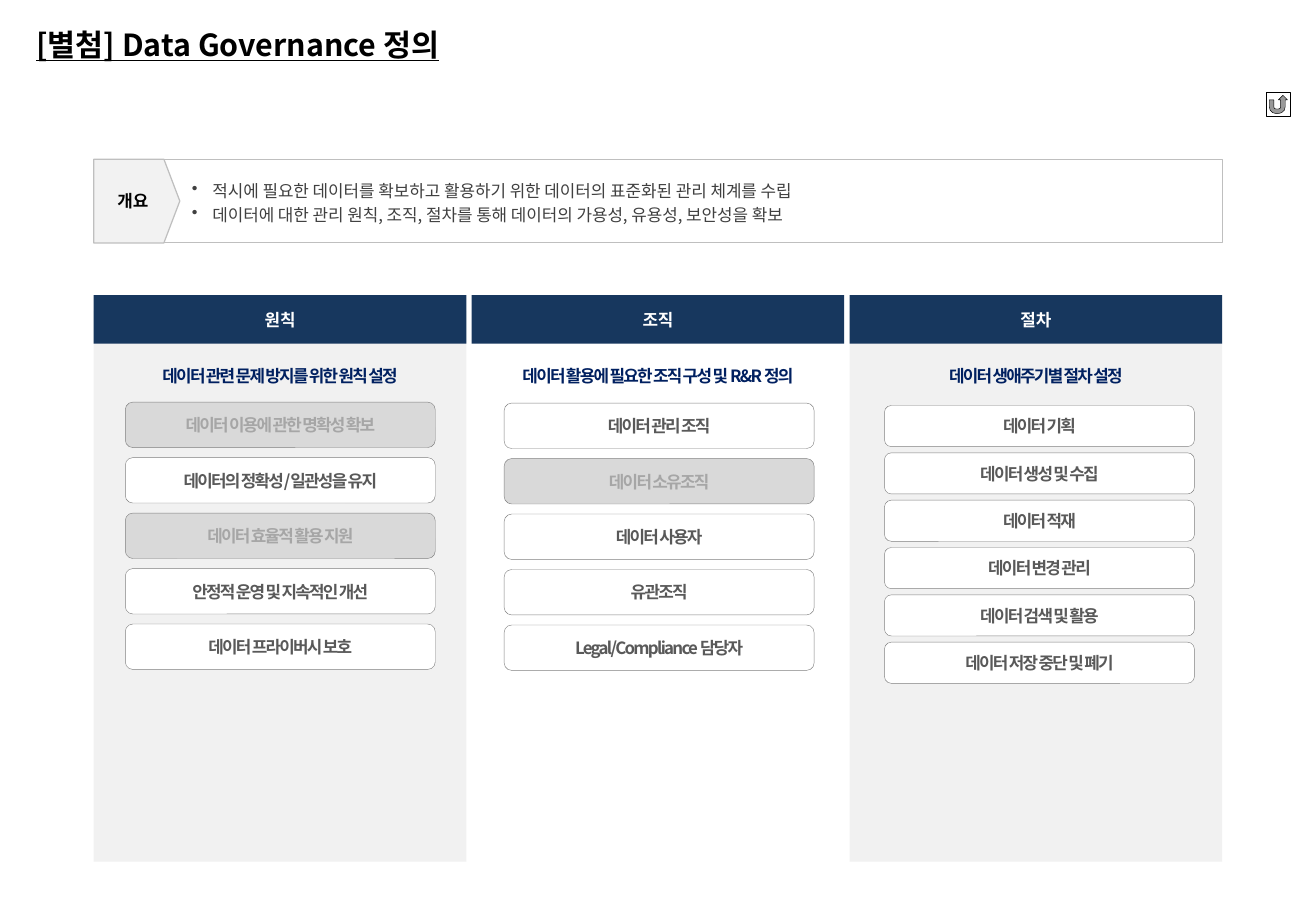
from lxml import etree
from pptx import Presentation
from pptx.dml.color import RGBColor
from pptx.enum.shapes import MSO_SHAPE
from pptx.enum.text import MSO_ANCHOR, PP_ALIGN
from pptx.oxml.ns import qn
from pptx.util import Cm, Pt

RECTANGLE = MSO_SHAPE.RECTANGLE
ROUNDED = MSO_SHAPE.ROUNDED_RECTANGLE
PENTAGON = MSO_SHAPE.PENTAGON
RETURN_BUTTON = MSO_SHAPE.ACTION_BUTTON_RETURN
TOP, MIDDLE, BOTTOM = MSO_ANCHOR.TOP, MSO_ANCHOR.MIDDLE, MSO_ANCHOR.BOTTOM
LEFT, CENTER = PP_ALIGN.LEFT, PP_ALIGN.CENTER

FONT = "Noto Sans CJK KR"
COLORS = {
    "black": "000000", "white": "FFFFFF", "navy": "17375E", "heading": "002060",
    "body": "404040", "item": "595959", "muted": "A6A6A6", "muted_fill": "D9D9D9",
    "panel": "F1F1F1", "label": "F2F2F2", "frame": "BFBFBF", "edge": "808080",
}
COLUMN_LEFT, COLUMN_STEP, COLUMN_WIDTH = 1.96, 7.9, 7.79
HEADING_WIDTH, ITEM_WIDTH = 6.35, 6.48

OVERVIEW = [
    "적시에 필요한 데이터를 확보하고 활용하기 위한 데이터의 표준화된 관리 체계를 수립",
    "데이터에 대한 관리 원칙, 조직, 절차를 통해 데이터의 가용성, 유용성, 보안성을 확보",
]
COLUMNS = [
    {"title": "원칙", "heading": "데이터 관련 문제 방지를 위한 원칙 설정", "panel": True,
     "left": 2.62, "top": 8.41, "height": 0.95, "step": 1.16, "muted": (0, 2),
     "items": ["데이터 이용에 관한 명확성 확보", "데이터의 정확성/일관성을 유지",
               "데이터 효율적 활용 지원", "안정적 운영 및 지속적인 개선",
               "데이터 프라이버시 보호"]},
    {"title": "조직", "heading": "데이터 활용에 필요한 조직 구성 및 R&R 정의", "panel": False,
     "left": 10.54, "top": 8.43, "height": 0.95, "step": 1.16, "muted": (1,),
     "items": ["데이터 관리 조직", "데이터 소유조직", "데이터 사용자", "유관조직",
               "Legal/Compliance 담당자"]},
    {"title": "절차", "heading": "데이터 생애주기별 절차 설정", "panel": True,
     "left": 18.49, "top": 8.48, "height": 0.86, "step": 0.99, "muted": (),
     "items": ["데이터 기획", "데이터 생성 및 수집", "데이터 적재", "데이터 변경 관리",
               "데이터 검색 및 활용", "데이터 저장 중단 및 폐기"]},
]


class SlideBuilder:
    def __init__(self, page):
        self.page = page

    def fill_text(self, box, lines, color, size=10, bold=True, underline=False, align=CENTER,
                  anchor=MIDDLE, inset=(0, 0), wrap=True, spacing=None, bullet=False):
        frame = box.text_frame
        side, edge = (Cm(value) for value in inset)
        frame_format = {"word_wrap": wrap, "vertical_anchor": anchor, "margin_left": side,
                        "margin_right": side, "margin_top": edge, "margin_bottom": edge}
        for name, value in frame_format.items():
            setattr(frame, name, value)
        font_format = {"name": FONT, "size": Pt(size), "bold": bold, "underline": underline}
        for index, line in enumerate(lines):
            para = frame.add_paragraph() if index else frame.paragraphs[0]
            para.alignment = align
            span = para.add_run()
            span.text = line
            span.font.color.rgb = RGBColor.from_string(COLORS[color])
            for name, value in font_format.items():
                setattr(span.font, name, value)
            properties = span._r.get_or_add_rPr()
            etree.SubElement(properties, qn("a:ea")).set("typeface", FONT)
            if spacing:
                properties.set("spc", str(spacing))
            if bullet:
                self.add_bullet(para)

    def add_bullet(self, para):
        para.line_spacing = 1.2
        properties = para._p.get_or_add_pPr()
        properties.set("marL", str(Cm(0.43)))
        properties.set("indent", str(-Cm(0.43)))
        etree.SubElement(properties, qn("a:buChar")).set("char", "•")

    def add_shape(self, kind, place, fill=None, line=None, width=0.25):
        box = self.page.shapes.add_shape(kind, *map(Cm, place))
        box.shadow.inherit = False
        if fill:
            box.fill.solid()
            box.fill.fore_color.rgb = RGBColor.from_string(COLORS[fill])
        else:
            box.fill.background()
        if line:
            box.line.color.rgb = RGBColor.from_string(COLORS[line])
            box.line.width = Pt(width)
        else:
            box.line.fill.background()
        return box

    def add_text(self, place, lines, color, **style):
        box = self.page.shapes.add_textbox(*map(Cm, place))
        self.fill_text(box, lines, color, **style)

    def add_overview(self):
        self.add_shape(RECTANGLE, (3.4, 3.33, 22.15, 1.75), line="frame", width=0.75)
        self.add_text((3.76, 3.56, 16.54, 1.24), OVERVIEW, "body", bold=False, align=LEFT,
                      anchor=TOP, inset=(0.25, 0.13), bullet=True)
        label = self.add_shape(PENTAGON, (1.96, 3.33, 1.8, 1.75), "label", "frame", 0.75)
        label.adjustments[0] = 0.19
        self.fill_text(label, ["개요"], "black", inset=(0.2, 0.1))

    def add_item(self, place, text, muted):
        box = self.add_shape(ROUNDED, place, "muted_fill" if muted else "white", "edge")
        self.fill_text(box, [text], "muted" if muted else "item", inset=(0, 0.13),
                       wrap=False, spacing=-100)

    def add_column(self, index, column):
        left = COLUMN_LEFT + index * COLUMN_STEP
        if column["panel"]:
            self.add_shape(RECTANGLE, (left, 6.5, COLUMN_WIDTH, 11.52), "panel")
        header = self.add_shape(RECTANGLE, (left, 6.17, COLUMN_WIDTH, 1.02), "navy")
        self.fill_text(header, [column["title"]], "white")
        heading_left = left + (COLUMN_WIDTH - HEADING_WIDTH) / 2
        self.add_text((heading_left, 7.52, HEADING_WIDTH, 0.69), [column["heading"]],
                      "heading", anchor=TOP, inset=(0.25, 0.13), spacing=-100)
        for row, text in enumerate(column["items"]):
            top = column["top"] + row * column["step"]
            self.add_item((column["left"], top, ITEM_WIDTH, column["height"]),
                          text, row in column["muted"])


def main():
    deck = Presentation()
    deck.slide_width, deck.slide_height = Cm(27.51), Cm(19.05)
    builder = SlideBuilder(deck.slides.add_slide(deck.slide_layouts[6]))
    builder.add_text((0.76, 0.33, 13.56, 0.97), ["[별첨] Data Governance 정의"], "black",
                     size=18, underline=True, align=LEFT, anchor=BOTTOM)
    builder.add_overview()
    for index, column in enumerate(COLUMNS):
        builder.add_column(index, column)
    builder.add_shape(RETURN_BUTTON, (26.47, 1.93, 0.51, 0.51), "white", "black")
    deck.save("out.pptx")


if __name__ == "__main__":
    main()
